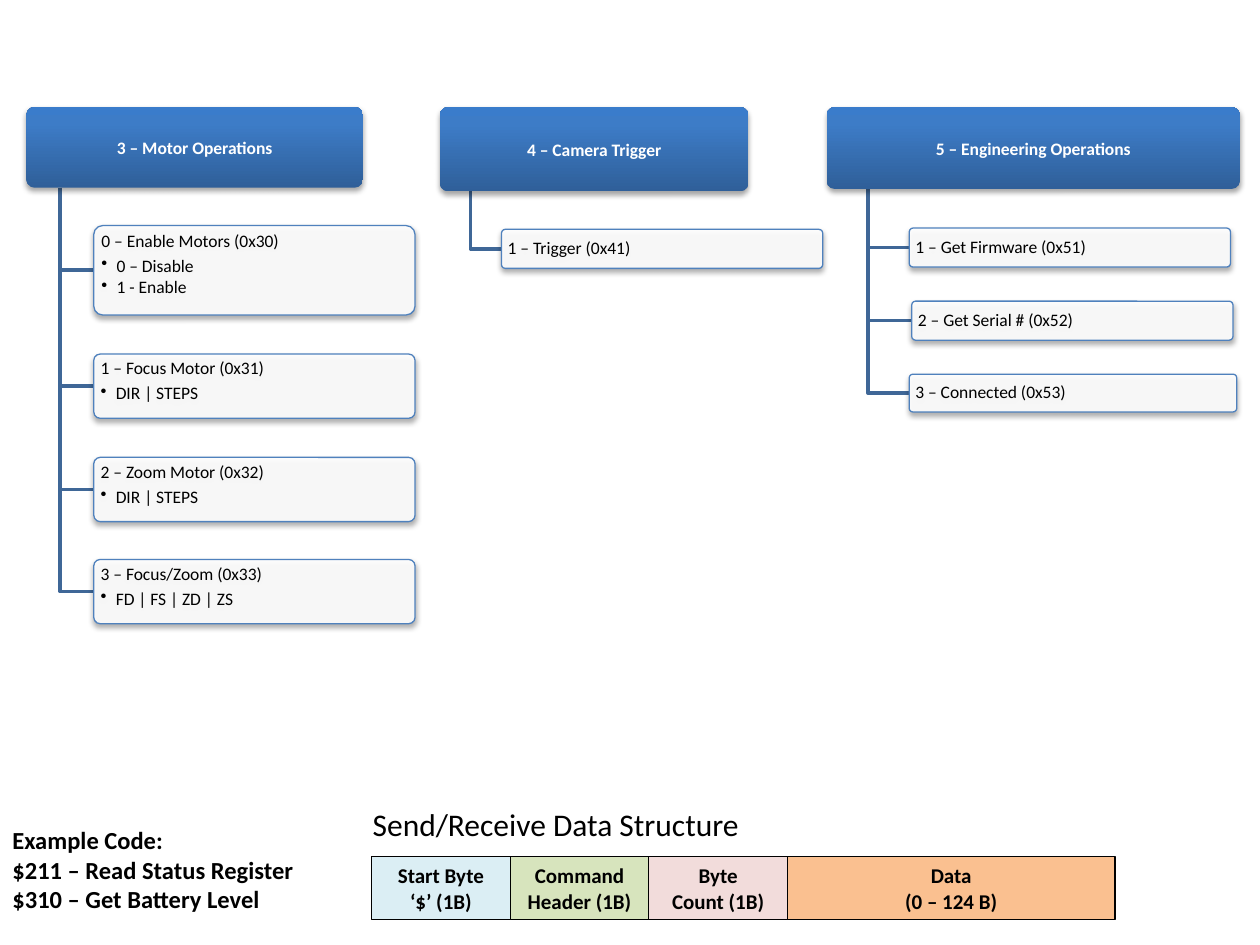
from dataclasses import dataclass

from pptx import Presentation
from pptx.dml.color import RGBColor
from pptx.enum.shapes import MSO_SHAPE as Preset
from pptx.enum.text import MSO_ANCHOR as Anchor, PP_ALIGN as Align
from pptx.oxml import parse_xml
from pptx.oxml.ns import nsdecls, qn
from pptx.util import Inches, Pt

COLORS = {
    "black": "000000", "white": "FFFFFF", "border": "4F81BD", "branch": "3F6797",
    "grad_low": "2F5F99", "grad_mid": "3D7CC7", "grad_high": "3A7CCB",
    "blue": "DBEEF4", "green": "D7E4BD", "pink": "F2DCDB", "orange": "FAC090",
}
FONT = "Calibri"


@dataclass
class Command:
    title: str
    top: float
    height: float = 0.31
    width: float = 2.55
    shift: float = 0
    details: tuple[str, ...] = ()


@dataclass
class Tree:
    title: str
    left: float
    width: float
    height: float
    commands: list[Command]


@dataclass
class Field:
    lines: tuple[str, ...]
    width: float
    color: str


TREE_TOP = 0.85
TREES = [
    Tree("3 – Motor Operations", 0.21, 2.67, 0.64, [
        Command("0 – Enable Motors (0x30)", 1.79, 0.71, details=("0 – Disable", "1 - Enable")),
        Command("1 – Focus Motor (0x31)", 2.81, 0.51, details=("DIR | STEPS",)),
        Command("2 – Zoom Motor (0x32)", 3.63, 0.51, details=("DIR | STEPS",)),
        Command("3 – Focus/Zoom (0x33)", 4.44, 0.51, details=("FD | FS | ZD | ZS",)),
    ]),
    Tree("4 – Camera Trigger", 3.49, 2.45, 0.67, [
        Command("1 – Trigger (0x41)", 1.82),
    ]),
    Tree("5 – Engineering Operations", 6.56, 3.28, 0.65, [
        Command("1 – Get Firmware (0x51)", 1.81),
        Command("2 – Get Serial # (0x52)", 2.39, shift=0.02),
        Command("3 – Connected (0x53)", 2.97, height=0.3, width=2.6),
    ]),
]
FIELDS = [
    Field(("Start Byte", "‘$’ (1B)"), 1.1, "blue"),
    Field(("Command Header (1B)",), 1.1, "green"),
    Field(("Byte", "Count (1B)"), 1.1, "pink"),
    Field(("Data", "(0 – 124 B)"), 2.6, "orange"),
]


def rgb(name: str) -> RGBColor:
    return RGBColor.from_string(COLORS[name])


def set_margins(frame, side: float, edge: float) -> None:
    frame.margin_left = frame.margin_right = Inches(side)
    frame.margin_top = frame.margin_bottom = Inches(edge)


def write(frame, lines, size: float, bold=False, color="black", align=Align.LEFT) -> None:
    for index, line in enumerate(lines):
        para = frame.paragraphs[0] if index == 0 else frame.add_paragraph()
        para.alignment = align
        span = para.add_run()
        span.text = line
        span.font.name, span.font.size, span.font.bold = FONT, Pt(size), bold
        span.font.color.rgb = rgb(color)


def add_box(page, preset, left: float, top: float, width: float, height: float):
    box = page.shapes.add_shape(preset, Inches(left), Inches(top), Inches(width), Inches(height))
    box.shadow.inherit = False
    box.text_frame.word_wrap = True
    return box


def add_raised_box(page, left: float, top: float, width: float, height: float):
    box = add_box(page, Preset.ROUNDED_RECTANGLE, left, top, width, height)
    box.adjustments[0] = 0.1
    set_margins(box.text_frame, 0.04, 0.03)
    effects = box._element.spPr.find(qn("a:effectLst"))
    effects.append(parse_xml(
        f'<a:outerShdw {nsdecls("a")} blurRad="{Pt(3.1)}" dist="{Pt(1.8)}" dir="5400000" '
        f'rotWithShape="0"><a:srgbClr val="{COLORS["black"]}"><a:alpha val="35000"/>'
        '</a:srgbClr></a:outerShdw>'))
    return box


def add_header(page, tree: Tree) -> None:
    box = add_raised_box(page, tree.left, TREE_TOP, tree.width, tree.height)
    box.fill.gradient()
    gradient = box._element.spPr.find(qn("a:gradFill"))
    stops = "".join(
        f'<a:gs pos="{place * 1000}"><a:srgbClr val="{COLORS[name]}"/></a:gs>'
        for place, name in ((0, "grad_low"), (80, "grad_mid"), (100, "grad_high")))
    gradient.getparent().replace(gradient, parse_xml(
        f'<a:gradFill {nsdecls("a")} rotWithShape="1"><a:gsLst>{stops}</a:gsLst>'
        '<a:lin ang="16200000" scaled="0"/></a:gradFill>'))
    box.line.fill.background()
    box.text_frame.vertical_anchor = Anchor.MIDDLE
    write(box.text_frame, [tree.title], 10, True, "white", Align.CENTER)


def add_branch(page, x: float, top: float, end_x: float, end_y: float) -> None:
    builder = page.shapes.build_freeform(Inches(x), Inches(top))
    builder.add_line_segments(
        [(Inches(x), Inches(end_y)), (Inches(end_x), Inches(end_y))], close=False)
    branch = builder.convert_to_shape()
    branch.shadow.inherit = False
    branch.fill.background()
    branch.line.color.rgb = rgb("branch")
    branch.line.width = Pt(2)


def add_command(page, command: Command, left: float) -> None:
    box = add_raised_box(page, left, command.top, command.width, command.height)
    box.fill.solid()
    box.fill.fore_color.rgb = rgb("white")
    fill_color = box._element.spPr.find(qn("a:solidFill"))[0]
    fill_color.append(parse_xml(f'<a:alpha {nsdecls("a")} val="90000"/>'))
    box.line.color.rgb = rgb("border")
    box.line.width = Pt(0.75)
    frame = box.text_frame
    frame.vertical_anchor = Anchor.TOP if command.details else Anchor.MIDDLE
    write(frame, (command.title, *command.details), 10)
    for index, para in enumerate(frame.paragraphs):
        para.line_spacing = 0.9
        para.space_after = Pt(1.5 if index else 3.5)
        if index:
            props = para._p.get_or_add_pPr()
            props.set("marL", str(Inches(0.12)))
            props.set("indent", str(-Inches(0.12)))
            props.append(parse_xml(f'<a:buChar {nsdecls("a")} char="•"/>'))


def add_tree(page, tree: Tree) -> None:
    trunk = tree.left + 0.1 * tree.width
    indent = tree.left + 0.2 * tree.width
    for command in tree.commands:
        left = indent + command.shift
        add_branch(page, trunk, TREE_TOP + tree.height, left, command.top + command.height / 2)
        add_command(page, command, left)
    add_header(page, tree)


def add_field(page, field: Field, left: float) -> None:
    box = add_box(page, Preset.RECTANGLE, left, 6.8, field.width, 0.5)
    box.fill.solid()
    box.fill.fore_color.rgb = rgb(field.color)
    box.line.color.rgb = rgb("black")
    box.line.width = Pt(0.75)
    set_margins(box.text_frame, 0, 0.05)
    box.text_frame.vertical_anchor = Anchor.TOP
    write(box.text_frame, field.lines, 12, True, align=Align.CENTER)


def add_label(page, left, top, width, height, lines, size, bold, wrap) -> None:
    box = page.shapes.add_textbox(Inches(left), Inches(top), Inches(width), Inches(height))
    box.text_frame.word_wrap = wrap
    write(box.text_frame, lines, size, bold)


deck = Presentation()
deck.slide_width, deck.slide_height = Inches(10), Inches(7.5)
page = deck.slides.add_slide(deck.slide_layouts[6])

# Command trees
for tree in TREES:
    add_tree(page, tree)

# Labels
add_label(page, 0, 6.5, 2.45, 0.81,
          ["Example Code:", "$211 – Read Status Register", "$310 – Get Battery Level"],
          14, True, True)
add_label(page, 2.86, 6.34, 3.14, 0.4, ["Send/Receive Data Structure"], 18, False, False)

# Data structure, fields side by side
field_left = 2.95
for field in FIELDS:
    add_field(page, field, field_left)
    field_left += field.width

deck.save("out.pptx")
